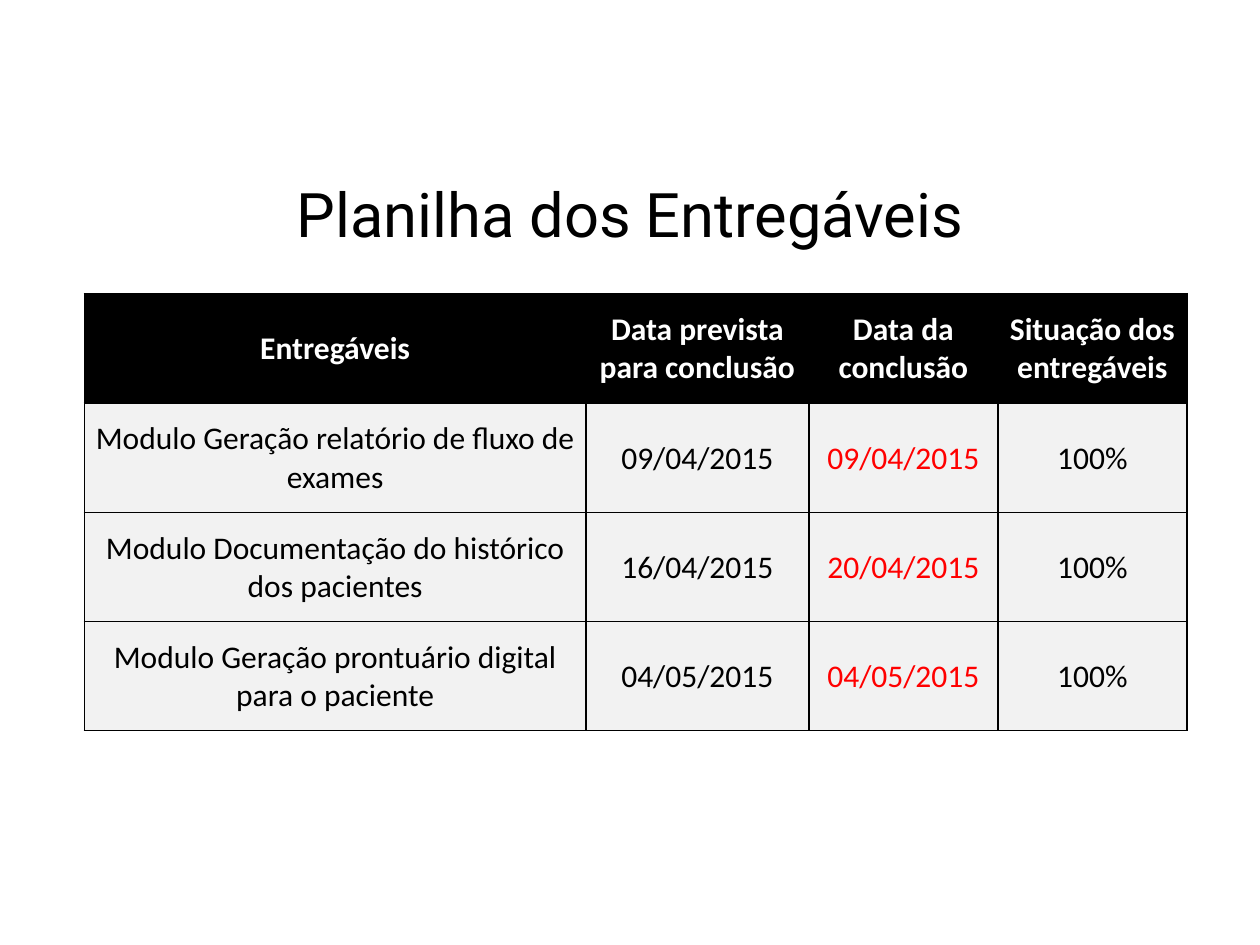
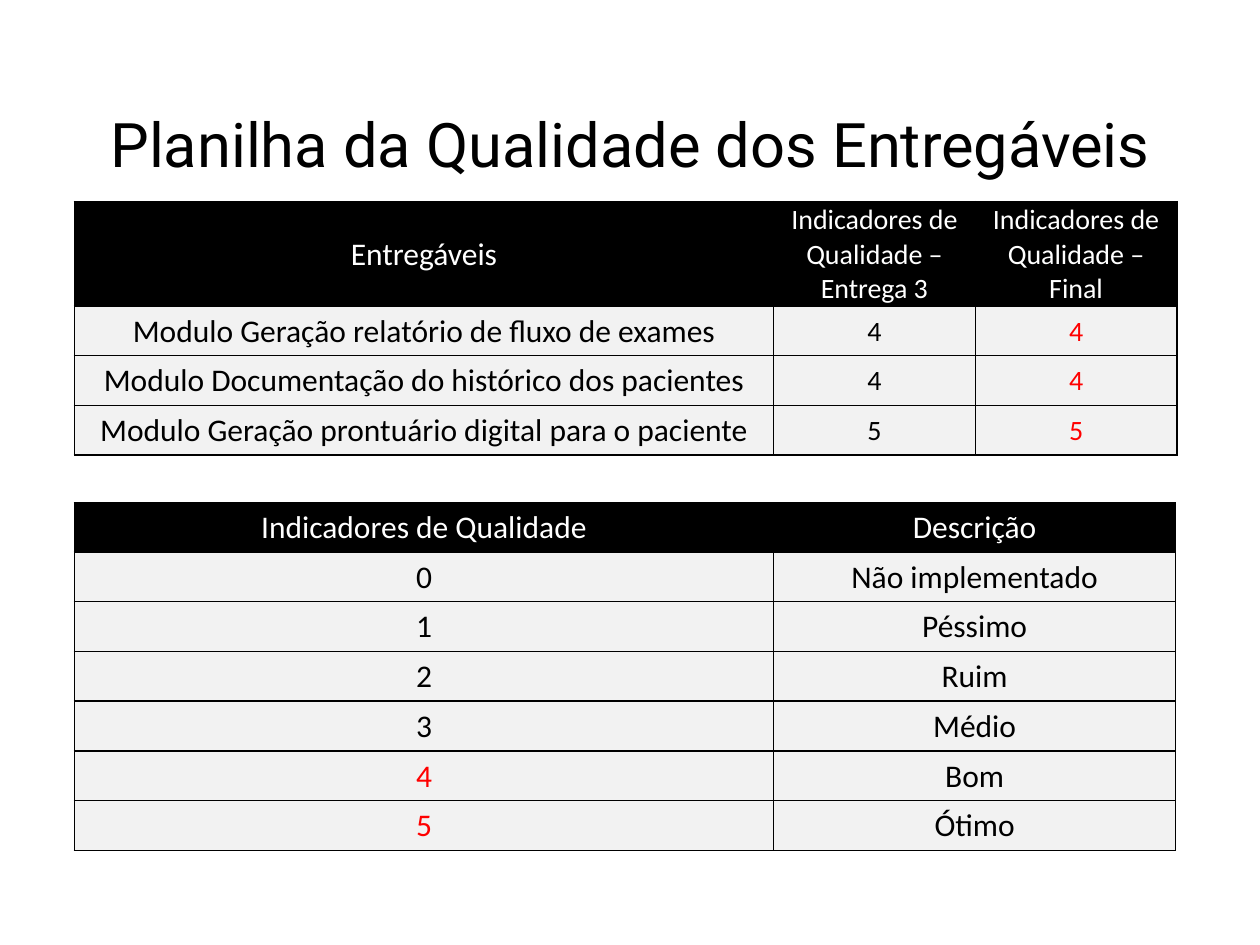
"""Build the deliverables schedule slide and the deliverables quality slide."""
from dataclasses import dataclass

from lxml.etree import SubElement
from pptx import Presentation
from pptx.dml.color import RGBColor
from pptx.enum.text import MSO_ANCHOR, PP_ALIGN
from pptx.oxml.ns import qn
from pptx.util import Inches, Pt


@dataclass(frozen=True)
class Theme:
    black: str = "000000"
    white: str = "FFFFFF"
    body_fill: str = "F2F2F2"
    highlight: str = "FF0000"
    title_font: str = "Roboto"
    table_font: str = "Calibri"
    title_size: float = 35.1
    cell_size: int = 18
    small_size: int = 16
    border_width: int = 1


theme = Theme()


def write_text(frame, text, *, size, font, color=theme.black, bold=False):
    frame.word_wrap = True
    frame.text = text
    for paragraph in frame.paragraphs:
        paragraph.alignment = PP_ALIGN.CENTER
        paragraph.font.size = Pt(size)
        paragraph.font.name = font
        paragraph.font.bold = bold
        paragraph.font.color.rgb = RGBColor.from_string(color)


def add_grid(slide, rows, *, left, top, widths, height, header_height,
             red_cells, small_columns=(), bold_header=False):
    shape = slide.shapes.add_table(len(rows), len(widths), Inches(left), Inches(top),
                                   Inches(sum(widths)), Inches(height))
    table = shape.table
    table.first_row = table.horz_banding = False
    for column, width in zip(table.columns, widths):
        column.width = Inches(width)
    body_height = (height - header_height) / (len(rows) - 1)
    for row_index, values in enumerate(rows):
        is_header = row_index == 0
        table.rows[row_index].height = Inches(header_height if is_header else body_height)
        for column_index, value in enumerate(values):
            cell = table.cell(row_index, column_index)
            cell.vertical_anchor = MSO_ANCHOR.MIDDLE
            cell.margin_left = cell.margin_right = cell.margin_top = Inches(0.01)
            cell.margin_bottom = 0
            color = theme.white if is_header else theme.black
            if (row_index, column_index) in red_cells:
                color = theme.highlight
            size = theme.small_size if column_index in small_columns else theme.cell_size
            write_text(cell.text_frame, value, size=size, font=theme.table_font,
                       color=color, bold=is_header and bold_header)
            properties = cell._tc.get_or_add_tcPr()
            for side in ("lnL", "lnR", "lnT", "lnB"):
                line = SubElement(properties, qn(f"a:{side}"), w=str(Pt(theme.border_width)))
                SubElement(SubElement(line, qn("a:solidFill")), qn("a:srgbClr"), val=theme.black)
            cell.fill.solid()
            cell.fill.fore_color.rgb = RGBColor.from_string(
                theme.black if is_header else theme.body_fill)


presentation = Presentation()
presentation.slide_width = Inches(10)
presentation.slide_height = Inches(7.5)

slides = []
for title, title_top in [("Planilha dos Entregáveis", 1.4),
                         ("Planilha da Qualidade dos Entregáveis", 0.84)]:
    slide = presentation.slides.add_slide(presentation.slide_layouts[6])
    title_box = slide.shapes.add_textbox(0, Inches(title_top), Inches(10), Inches(0.85))
    frame = title_box.text_frame
    frame.margin_left = frame.margin_right = frame.margin_top = frame.margin_bottom = 0
    write_text(frame, title, size=theme.title_size, font=theme.title_font)
    slides.append(slide)
schedule_slide, quality_slide = slides

modules = [
    "Modulo Geração relatório de fluxo de exames",
    "Modulo Documentação do histórico dos pacientes",
    "Modulo Geração prontuário digital para o paciente",
]
planned_dates = ["09/04/2015", "16/04/2015", "04/05/2015"]
finished_dates = ["09/04/2015", "20/04/2015", "04/05/2015"]
scores = ["4", "4", "5"]
ratings = ["Não implementado", "Péssimo", "Ruim", "Médio", "Bom", "Ótimo"]
last_results = {(row, 2) for row in range(1, len(modules) + 1)}

schedule_rows = [("Entregáveis", "Data prevista para conclusão", "Data da conclusão",
                  "Situação dos entregáveis")]
for module, planned, finished in zip(modules, planned_dates, finished_dates):
    schedule_rows.append((module, planned, finished, "100%"))
add_grid(schedule_slide, schedule_rows, left=0.67, top=2.33, widths=[3.98, 1.77, 1.5, 1.5],
         height=3.47, header_height=0.87, red_cells=last_results, bold_header=True)

quality_rows = [("Entregáveis", "Indicadores de Qualidade – Entrega 3",
                 "Indicadores de Qualidade –\nFinal")]
for module, score in zip(modules, scores):
    quality_rows.append((module, score, score))
add_grid(quality_slide, quality_rows, left=0.59, top=1.6, widths=[5.55, 1.6, 1.6],
         height=2.01, header_height=0.83, red_cells=last_results, small_columns=(1, 2))

scale_rows = [("Indicadores de Qualidade", "Descrição")]
for score, rating in enumerate(ratings):
    scale_rows.append((str(score), rating))
used_scores = {(int(score) + 1, 0) for score in scores}
add_grid(quality_slide, scale_rows, left=0.59, top=3.99, widths=[5.55, 3.19],
         height=2.76, header_height=0.39, red_cells=used_scores)

presentation.save("out.pptx")
